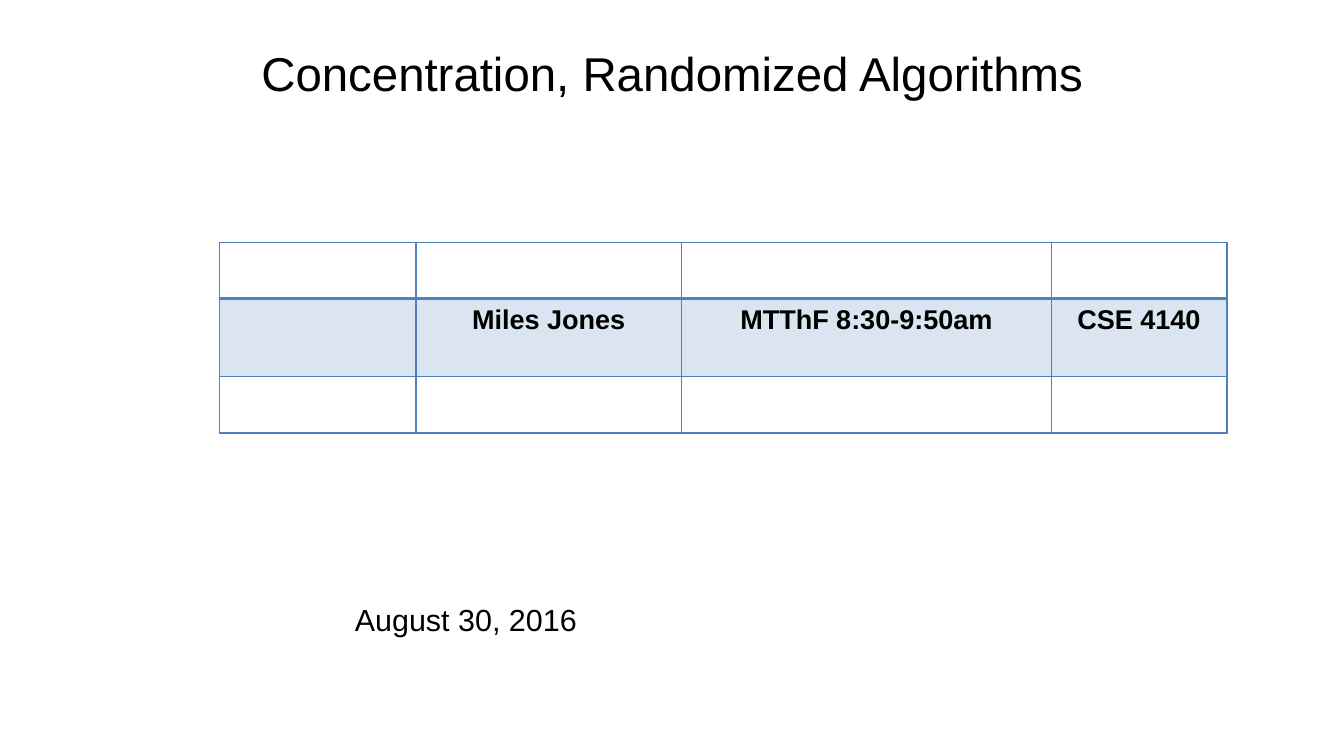
from lxml import etree
from pptx import Presentation
from pptx.dml.color import RGBColor
from pptx.enum import text
from pptx.oxml import ns
from pptx.util import Inches, Pt

TITLE = "Concentration, Randomized Algorithms"
DATE = "August 30, 2016"
SCHEDULE = [
    ["", "", "", ""],
    ["", "Miles Jones", "MTThF 8:30-9:50am", "CSE 4140"],
    ["", "", "", ""],
]
COLUMN_WIDTHS = [1.61, 2.18, 3.03, 1.44]
ROW_HEIGHTS = [0.46, 0.64, 0.46]
HEADER_ROW, BAND_ROW = 0, 1
COLORS = {"text": "000000", "accent": "4F81BD"}
FONT = "Arial"


def write(frame, content, size, bold=False, anchor=text.MSO_ANCHOR.TOP):
    frame.vertical_anchor = anchor
    paragraph = frame.paragraphs[0]
    paragraph.alignment = text.PP_ALIGN.CENTER
    if content:
        paragraph.add_run().text = content
    for font in [paragraph.font] + [run.font for run in paragraph.runs]:
        font.name, font.size, font.bold = FONT, Pt(size), bold
        font.color.rgb = RGBColor.from_string(COLORS["text"])


def add_borders(cell, widths):
    """Draw cell borders; widths maps the sides L, R, T, B to points."""
    properties = cell._tc.get_or_add_tcPr()
    for position, (side, width) in enumerate(widths.items()):
        line = etree.Element(ns.qn(f"a:ln{side}"), w=str(Pt(width)))
        fill = etree.SubElement(line, ns.qn("a:solidFill"))
        etree.SubElement(fill, ns.qn("a:srgbClr"), val=COLORS["accent"])
        properties.insert(position, line)


def tint(cell, percent):
    """Fill the cell with the accent colour at the given opacity."""
    cell.fill.solid()
    cell.fill.fore_color.rgb = RGBColor.from_string(COLORS["accent"])
    color = cell._tc.tcPr.find(ns.qn("a:solidFill")).find(ns.qn("a:srgbClr"))
    etree.SubElement(color, ns.qn("a:alpha"), val=str(percent * 1000))


def add_schedule(slide, left, top):
    frame = slide.shapes.add_table(
        len(SCHEDULE), len(COLUMN_WIDTHS), Inches(left), Inches(top),
        Inches(sum(COLUMN_WIDTHS)), Inches(sum(ROW_HEIGHTS)))
    table = frame.table
    table.first_row = table.horz_banding = False
    for column, width in zip(table.columns, COLUMN_WIDTHS):
        column.width = Inches(width)
    for row_index, (row, height) in enumerate(zip(table.rows, ROW_HEIGHTS)):
        row.height = Inches(height)
        for cell, content in zip(row.cells, SCHEDULE[row_index]):
            write(cell.text_frame, content, 16, bold=True)
            if row_index == BAND_ROW:
                tint(cell, 20)
            else:
                cell.fill.background()
            add_borders(cell, {
                "L": 1, "R": 1,
                "T": 2 if row_index == HEADER_ROW + 1 else 1,
                "B": 2 if row_index == HEADER_ROW else 1})


def main():
    presentation = Presentation()
    presentation.slide_width = Inches(11.02)
    presentation.slide_height = Inches(6.2)
    slide = presentation.slides.add_slide(presentation.slide_layouts[5])

    title = slide.shapes.title
    title.left, title.top = Inches(0.55), Inches(0.24)
    title.width, title.height = Inches(9.92), Inches(0.71)
    frame = title.text_frame
    frame.margin_left = frame.margin_right = 0
    frame.margin_top = frame.margin_bottom = 0
    write(frame, TITLE, 28, anchor=text.MSO_ANCHOR.MIDDLE)

    add_schedule(slide, 1.8, 1.99)

    date = slide.shapes.add_textbox(
        Inches(2.8), Inches(4.88), Inches(2.04), Inches(0.4))
    date.text_frame.word_wrap = False
    write(date.text_frame, DATE, 18)

    presentation.save("out.pptx")


if __name__ == "__main__":
    main()
